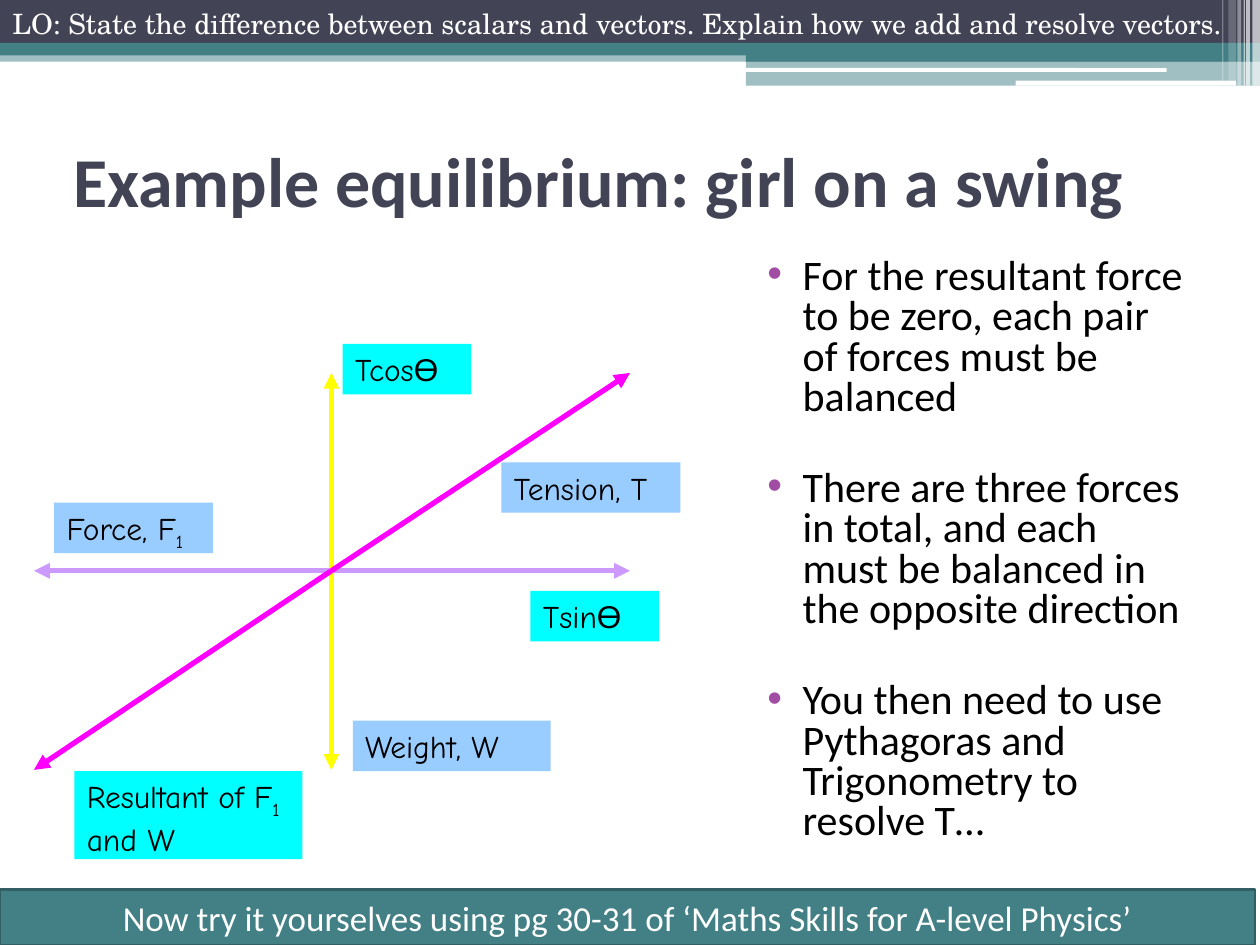
from dataclasses import dataclass

from lxml import etree
from pptx import Presentation
from pptx import util as u
from pptx.dml.color import RGBColor
from pptx.enum import shapes, text
from pptx.oxml.ns import qn

PX = 9144


@dataclass(frozen=True)
class Theme:
    navy: str = "424456"
    teal: str = "438086"
    teal_edge: str = "325F63"
    white: str = "FFFFFF"
    black: str = "000000"
    bullet: str = "A04DA3"
    horizontal: str = "CC99FF"
    vertical: str = "FFFF00"
    tension: str = "FF00FF"
    force: str = "99CCFF"
    component: str = "00FFFF"
    body_font: str = "Calibri"
    label_font: str = "Comic Neue"
    symbol_font: str = "Arial"
    objective_font: str = "TeX Gyre Schola"
    title_size: int = 40
    body_size: int = 24
    task_size: int = 20
    label_size: int = 18
    objective_size: int = 16


T = Theme()


def place(sp, x, y, w, h):
    sp.left, sp.top, sp.width, sp.height = (u.Emu(v * PX) for v in (x, y, w, h))


def style(r, font, size, color, bold=False):
    r.font.name = font
    r.font.size = u.Pt(size)
    r.font.bold = bold
    r.font.color.rgb = RGBColor.from_string(color)


def add_box(slide, x, y, w, h, fill, opacity=100, rounded=False):
    kind = shapes.MSO_SHAPE.ROUNDED_RECTANGLE if rounded else shapes.MSO_SHAPE.RECTANGLE
    sp = slide.shapes.add_shape(kind, *(u.Emu(v * PX) for v in (x, y, w, h)))
    sp.shadow.inherit = False
    sp.fill.solid()
    sp.fill.fore_color.rgb = RGBColor.from_string(fill)
    sp.line.fill.background()
    if opacity < 100:
        color = sp.fill._xPr.find(qn("a:solidFill"))[0]
        etree.SubElement(color, qn("a:alpha")).set("val", str(opacity * 1000))
    return sp


def add_header(slide, x, y, w):
    bands = [
        (0, 40, w, 9, T.teal, 50, False),
        (0, 0, w, 34, T.navy, 100, False),
        (0, 34, w, 10, T.teal, 100, False),
        (592, 39, 408, 10, T.teal, 100, False),
        (592, 48, 408, 20, T.teal, 50, False),
        (591, 54, 335, 3, T.white, 100, True),
        (806, 64, 175, 4, T.white, 100, True),
    ]
    for left, top, width, height, fill, opacity, rounded in bands:
        add_box(slide, x + left, y + top, width, height, fill, opacity, rounded)
    stripes = [(994, 6, 68, 65), (989, 3, 68, 65), (987, 1, 68, 60),
               (982, 3, 68, 40), (975, 6, 64, 20), (970, 1, 64, 30)]
    for left, width, height, opacity in stripes:
        add_box(slide, x + left, y, width, height, T.white, opacity)


def add_objective(slide, x, y, w, h):
    sp = slide.shapes.add_textbox(0, 0, 0, 0)
    place(sp, x, y, w, h)
    tf = sp.text_frame
    tf.word_wrap = True
    tf.text = ("LO: State the difference between scalars and vectors. "
               "Explain how we add and resolve vectors.")
    style(tf.paragraphs[0].runs[0], T.objective_font, T.objective_size, T.white)


def fill_title(sp, x, y, w, h):
    place(sp, x, y, w, h)
    tf = sp.text_frame
    tf.text = "Example equilibrium: girl on a swing"
    tf.auto_size = text.MSO_AUTO_SIZE.NONE
    tf.vertical_anchor = text.MSO_ANCHOR.MIDDLE
    p = tf.paragraphs[0]
    p.alignment = text.PP_ALIGN.LEFT
    style(p.runs[0], T.body_font, T.title_size, T.navy, bold=True)


def add_bullet(p):
    pPr = p._p.get_or_add_pPr()
    pPr.set("marL", str(40 * PX))
    pPr.set("indent", str(-28 * PX))
    color = etree.SubElement(pPr, qn("a:buClr"))
    etree.SubElement(color, qn("a:srgbClr")).set("val", T.bullet)
    etree.SubElement(pPr, qn("a:buFont")).set("typeface", T.symbol_font)
    etree.SubElement(pPr, qn("a:buChar")).set("char", "•")


def fill_body(sp, x, y, w, h):
    place(sp, x, y, w, h)
    points = [
        "For the resultant force to be zero, each pair of forces must be balanced",
        "There are three forces in total, and each must be balanced in the opposite direction",
        "You then need to use Pythagoras and Trigonometry to resolve T…",
    ]
    tf = sp.text_frame
    tf.text = "\n".join(points)
    tf.auto_size = text.MSO_AUTO_SIZE.NONE
    for i, p in enumerate(tf.paragraphs):
        add_bullet(p)
        p.line_spacing = 0.8
        p.space_before = u.Pt(29 if i else 0)
        style(p.runs[0], T.body_font, T.body_size, T.black)


def add_arrow(slide, x1, y1, x2, y2, color):
    line = slide.shapes.add_connector(
        shapes.MSO_CONNECTOR.STRAIGHT, *(u.Emu(v * PX) for v in (x1, y1, x2, y2)))
    line.line.color.rgb = RGBColor.from_string(color)
    line.line.width = u.Pt(3)
    etree.SubElement(line.line._get_or_add_ln(), qn("a:tailEnd")).set("type", "triangle")
    etree.SubElement(line._element.spPr, qn("a:effectLst"))


def add_label(slide, x, y, w, h, fill, parts):
    tf = add_box(slide, x, y, w, h, fill).text_frame
    tf.word_wrap = True
    tf.vertical_anchor = text.MSO_ANCHOR.TOP
    p = tf.paragraphs[0]
    p.alignment = text.PP_ALIGN.LEFT
    for part in parts:
        r = p.add_run()
        r.text = part
        style(r, T.symbol_font if part == "Ɵ" else T.label_font, T.label_size, T.black)
        if part == "1":
            r.font._element.set("baseline", "-25000")


def add_force_diagram(slide, x, y, w, h):
    cx, cy = x + w // 2, y + h // 2
    ends = [
        (x, cy, T.horizontal), (x + w, cy, T.horizontal),
        (cx, y + h, T.vertical), (cx, y, T.vertical),
        (x, y + h, T.tension), (x + w, y, T.tension),
    ]
    for end_x, end_y, color in ends:
        add_arrow(slide, cx, cy, end_x, end_y, color)
    labels = [
        (16, 103, 126, 40, T.force, ["Force, F", "1"]),
        (253, 276, 157, 40, T.force, ["Weight, W"]),
        (371, 71, 142, 40, T.force, ["Tension, T"]),
        (394, 173, 102, 40, T.component, ["Tsin", "Ɵ"]),
        (245, -23, 102, 40, T.component, ["Tcos", "Ɵ"]),
        (32, 316, 181, 70, T.component, ["Resultant of F", "1", " and W"]),
    ]
    for left, top, width, height, fill, parts in labels:
        add_label(slide, x + left, y + top, width, height, fill, parts)


def add_task(slide, x, y, w, h):
    sp = add_box(slide, x, y, w, h, T.teal)
    sp.line.color.rgb = RGBColor.from_string(T.teal_edge)
    sp.line.width = u.Pt(1.5)
    tf = sp.text_frame
    tf.word_wrap = True
    tf.text = "Now try it yourselves using pg 30-31 of ‘Maths Skills for A-level Physics’"
    p = tf.paragraphs[0]
    p.alignment = text.PP_ALIGN.CENTER
    style(p.runs[0], T.body_font, T.task_size, T.white)


def main():
    prs = Presentation()
    prs.slide_width, prs.slide_height = u.Emu(1000 * PX), u.Emu(750 * PX)
    slide = prs.slides.add_slide(prs.slide_layouts[1])
    add_header(slide, 0, 0, 1000)
    fill_title(slide.shapes.title, 48, 84, 900, 117)
    add_objective(slide, 0, 0, 996, 37)
    fill_body(slide.placeholders[1], 587, 200, 365, 505)
    add_force_diagram(slide, 27, 296, 473, 315)
    add_task(slide, 0, 706, 996, 44)
    prs.save("out.pptx")


if __name__ == "__main__":
    main()
